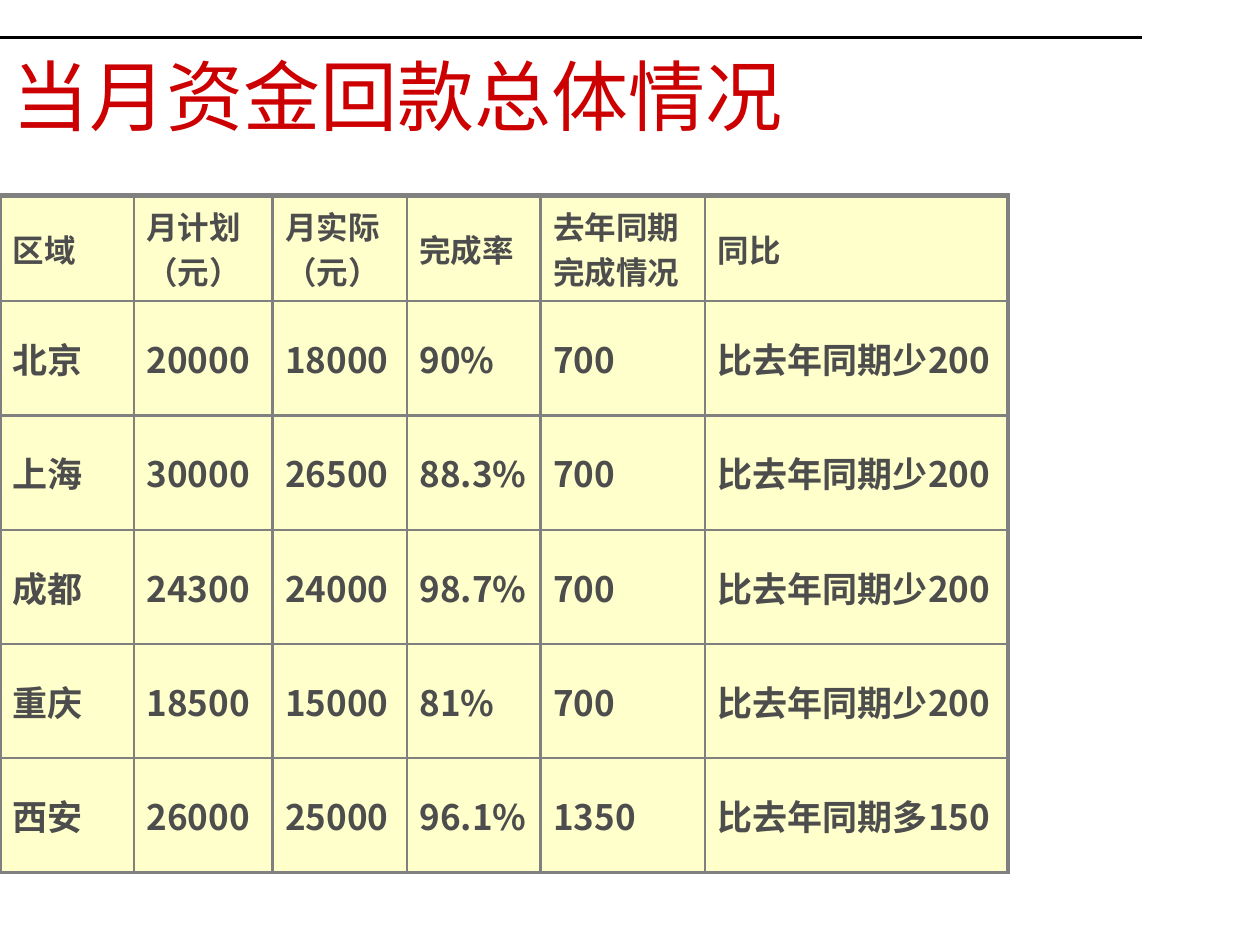
from dataclasses import dataclass

from lxml import etree
from pptx import Presentation
from pptx.dml.color import RGBColor
from pptx.enum import shapes, text
from pptx.oxml import ns
from pptx.util import Pt

CJK_FONT = "Noto Sans CJK SC"
TITLE_FONT = "Arial Narrow"
RED, GREY, INK, CREAM, BLACK = "CC0000", "808080", "4D4D4D", "FFFFCC", "000000"
THIN, THICK = 1.5, 3


@dataclass
class Region:
    name: str
    plan: str
    actual: str
    rate: str
    last_year: str
    comparison: str

    def values(self) -> list[str]:
        return [self.name, self.plan, self.actual, self.rate,
                self.last_year, self.comparison]


HEADER = Region("区域", "月计划（元）", "月实际（元）", "完成率", "去年同期完成情况", "同比")
REGIONS = [
    Region("北京", "20000", "18000", "90%", "700", "比去年同期少200"),
    Region("上海", "30000", "26500", "88.3%", "700", "比去年同期少200"),
    Region("成都", "24300", "24000", "98.7%", "700", "比去年同期少200"),
    Region("重庆", "18500", "15000", "81%", "700", "比去年同期少200"),
    Region("西安", "26000", "25000", "96.1%", "1350", "比去年同期多150"),
]
COLUMN_WIDTHS = [76.5, 79.25, 76.75, 76.5, 94, 173]
HEADER_HEIGHT, REGION_HEIGHT = 60.5, 57.6


def colour(value: str) -> RGBColor:
    return RGBColor.from_string(value)


def write(frame, words: str, *, size: float, ink: str, font: str,
          bold: bool = False) -> None:
    """Put one left-aligned, vertically centred paragraph in a text frame."""
    paragraph = frame.paragraphs[0]
    paragraph.alignment = text.PP_ALIGN.LEFT
    paragraph.space_before = Pt(0)
    run = paragraph.add_run()
    run.text = words
    run.font.size, run.font.bold, run.font.name = Pt(size), bold, font
    run.font.color.rgb = colour(ink)
    latin = run.font._element.find(ns.qn("a:latin"))
    east_asian = etree.Element(ns.qn("a:ea"), typeface=CJK_FONT)
    latin.addnext(east_asian)


def add_border(cell, side: str, width: float) -> None:
    line = etree.SubElement(cell._tc.get_or_add_tcPr(), ns.qn(f"a:ln{side}"),
                            w=str(Pt(width)))
    fill = etree.SubElement(line, ns.qn("a:solidFill"))
    etree.SubElement(fill, ns.qn("a:srgbClr"), val=GREY)


def add_rule(slide, left: float, right: float, y: float) -> None:
    rule = slide.shapes.add_connector(shapes.MSO_CONNECTOR.STRAIGHT,
                                      Pt(left), Pt(y), Pt(right), Pt(y))
    rule.line.color.rgb = colour(BLACK)
    rule.line.width = Pt(1.5)
    etree.SubElement(rule._element.spPr, ns.qn("a:effectLst"))


def add_title(slide, words: str) -> None:
    title = slide.shapes.title
    title.left, title.top, title.width, title.height = Pt(0), Pt(24), Pt(570), Pt(60)
    frame = title.text_frame
    frame.auto_size = text.MSO_AUTO_SIZE.NONE
    frame.vertical_anchor = text.MSO_ANCHOR.MIDDLE
    write(frame, words, size=44, ink=RED, font=TITLE_FONT)


def add_region_table(slide, records: list[Region]) -> None:
    height = HEADER_HEIGHT + REGION_HEIGHT * (len(records) - 1)
    table = slide.shapes.add_table(len(records), len(COLUMN_WIDTHS), Pt(0), Pt(111.6),
                                   Pt(sum(COLUMN_WIDTHS)), Pt(height)).table
    table.horz_banding = False
    for column, width in zip(table.columns, COLUMN_WIDTHS):
        column.width = Pt(width)
    last_column = len(COLUMN_WIDTHS) - 1
    for r, record in enumerate(records):
        table.rows[r].height = Pt(REGION_HEIGHT if r else HEADER_HEIGHT)
        for c, words in enumerate(record.values()):
            cell = table.cell(r, c)
            # Thick frame on the left, right and top; thin lines elsewhere
            add_border(cell, "L", THICK if c == 0 else THIN)
            add_border(cell, "R", THICK if c == last_column else THIN)
            add_border(cell, "T", THICK if r == 0 else THIN)
            add_border(cell, "B", THIN)
            cell.fill.solid()
            cell.fill.fore_color.rgb = colour(CREAM)
            cell.vertical_anchor = text.MSO_ANCHOR.MIDDLE
            write(cell.text_frame, words, size=20 if r else 18, ink=INK,
                  font=CJK_FONT, bold=True)


def main() -> None:
    deck = Presentation()
    deck.slide_width, deck.slide_height = Pt(720), Pt(540)
    slide = deck.slides.add_slide(deck.slide_layouts[5])

    # Heading
    add_rule(slide, -1.5, 652.5, 21.6)
    add_title(slide, "当月资金回款总体情况")

    # Collections by region
    add_region_table(slide, [HEADER, *REGIONS])

    deck.save("out.pptx")


if __name__ == "__main__":
    main()
